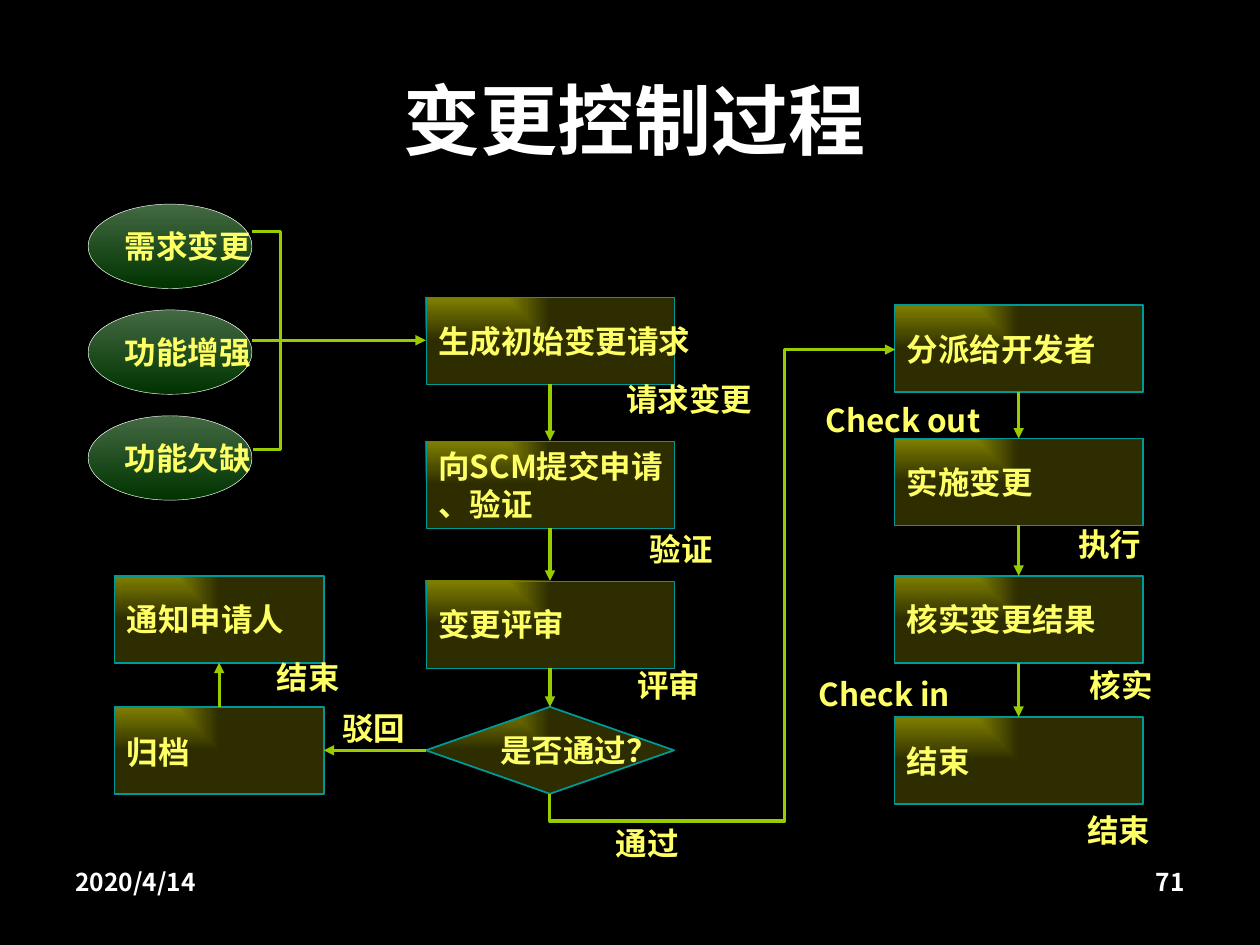
from dataclasses import dataclass

from lxml import etree
from pptx import Presentation
from pptx.dml.color import RGBColor
from pptx.enum.shapes import MSO_CONNECTOR, MSO_SHAPE
from pptx.enum.text import MSO_ANCHOR, MSO_AUTO_SIZE, PP_ALIGN
from pptx.oxml.ns import qn
from pptx.util import Inches, Pt

RECTANGLE, DIAMOND, ELLIPSE = MSO_SHAPE.RECTANGLE, MSO_SHAPE.DIAMOND, MSO_SHAPE.OVAL
LEFT, CENTER, RIGHT = PP_ALIGN.LEFT, PP_ALIGN.CENTER, PP_ALIGN.RIGHT
TOP, MIDDLE = MSO_ANCHOR.TOP, MSO_ANCHOR.MIDDLE


@dataclass(frozen=True)
class Theme:
    font: str = "Noto Sans CJK SC"
    background: str = "000000"
    heading: str = "FFFFFF"
    text: str = "FFFF66"
    box_gradient: tuple[str, str] = ("808000", "2D2D00")
    box_line: str = "009999"
    source_gradient: tuple[str, str] = ("436943", "003300")
    source_line: str = "FFFFFF"
    arrow: str = "99CC00"
    title_size: int = 44
    body_size: int = 18
    footer_size: int = 14
    thin: float = 0.25
    medium: float = 1
    thick: float = 1.75


@dataclass(frozen=True)
class Column:
    """A vertical lane of the flow: its left edge, width and row tops."""
    left: float
    width: float
    rows: tuple[float, ...]

    @property
    def center(self) -> float:
        return self.left + self.width / 2

    @property
    def right(self) -> float:
        return self.left + self.width


THEME = Theme()


@dataclass(frozen=True)
class Step:
    text: str
    column: Column
    row: int
    line_width: float = THEME.medium
    kind: int = RECTANGLE
    line_spacing: float | None = None


@dataclass(frozen=True)
class Label:
    text: str
    left: float
    top: float
    width: float = 0.7
    height: float = 0.4
    align: int = LEFT
    grow: bool = True


BOX_HEIGHT = 0.69
SOURCE_HEIGHT = 0.67
SOURCES = Column(0.7, 1.3, (1.62, 2.46, 3.3))
CLOSING = Column(0.91, 1.66, (4.57, 5.61))
REVIEW = Column(3.38, 1.97, (2.36, 3.5, 4.61, 5.61))
WORK = Column(7.1, 1.97, (2.42, 3.48, 4.57, 5.69))

SOURCE_NAMES = ("需求变更", "功能增强", "功能欠缺")
STEPS = (
    Step("生成初始变更请求", REVIEW, 0, THEME.thin),
    Step("向SCM提交申请\n、验证", REVIEW, 1, THEME.thin),
    Step("变更评审", REVIEW, 2, THEME.thin),
    Step("是否通过？", REVIEW, 3, kind=DIAMOND),
    Step("分派给开发者", WORK, 0),
    Step("实施变更", WORK, 1),
    Step("核实变更结果", WORK, 2),
    Step("结束", WORK, 3),
    Step("通知申请人", CLOSING, 0),
    Step("归档", CLOSING, 1, line_spacing=1.1),
)
LABELS = (
    Label("请求变更", 4.87, 2.97, 1.21),
    Label("验证", 5.06, 4.16),
    Label("评审", 4.96, 5.24),
    Label("驳回", 2.62, 5.58),
    Label("通过", 4.79, 6.49),
    Label("Check out", 6.38, 3.13, 1.5, 0.35, RIGHT, False),
    Label("执行", 8.46, 4.12),
    Label("Check in", 6.14, 5.31, 1.5, 0.35, RIGHT, False),
    Label("核实", 8.55, 5.24),
    Label("结束", 8.53, 6.39),
    Label("结束", 2.1, 5.17),
)


def write(shape, text: str, *, size: float = THEME.body_size, color: str = THEME.text,
          align: int = LEFT, anchor: int = TOP, wrap: bool = False,
          line_spacing: float | None = None) -> None:
    frame = shape.text_frame
    frame.text = text
    frame.word_wrap = wrap
    frame.vertical_anchor = anchor
    for paragraph in frame.paragraphs:
        paragraph.alignment = align
        if line_spacing:
            paragraph.line_spacing = line_spacing
        for run in paragraph.runs:
            font = run.font
            font.name, font.size, font.bold = THEME.font, Pt(size), True
            font.color.rgb = RGBColor.from_string(color)
            east_asian = etree.SubElement(run._r.get_or_add_rPr(), qn("a:ea"))
            east_asian.set("typeface", THEME.font)


def add_node(slide, kind: int, text: str, left: float, top: float, width: float, height: float,
             *, gradient: tuple[str, str], line: str, line_width: float,
             from_corner: bool = False, line_spacing: float | None = None) -> None:
    shape = slide.shapes.add_shape(kind, *map(Inches, (left, top, width, height)))
    shape.shadow.inherit = False
    shape.line.color.rgb = RGBColor.from_string(line)
    shape.line.width = Pt(line_width)
    shape.fill.gradient()
    shape.fill.gradient_angle = 270
    for stop, color, position in zip(shape.fill.gradient_stops, gradient, (0, 1)):
        stop.color.rgb = RGBColor.from_string(color)
        stop.position = position
    if from_corner:
        # Spread the gradient from the top left corner
        fill = shape._element.spPr.find(qn("a:gradFill"))
        fill.remove(fill.find(qn("a:lin")))
        spread = etree.SubElement(fill, qn("a:path"), {"path": "rect"})
        etree.SubElement(spread, qn("a:fillToRect"), {"r": "100000", "b": "100000"})
    write(shape, text, anchor=MIDDLE, line_spacing=line_spacing)


def add_line(slide, start: tuple[float, float], end: tuple[float, float], *,
             width: float = THEME.thick, arrow: bool = True, preset: str = "line",
             bends: tuple[float, ...] = (), rotation: int = 0) -> None:
    kind = MSO_CONNECTOR.ELBOW if bends else MSO_CONNECTOR.STRAIGHT
    connector = slide.shapes.add_connector(kind, *map(Inches, start + end))
    connector.line.color.rgb = RGBColor.from_string(THEME.arrow)
    connector.line.width = Pt(width)
    properties = connector._element.spPr
    etree.SubElement(properties, qn("a:effectLst"))
    if arrow:
        etree.SubElement(connector.line._get_or_add_ln(), qn("a:tailEnd"), {"type": "triangle"})
    if bends:
        geometry = properties.find(qn("a:prstGeom"))
        geometry.set("prst", preset)
        for guide in geometry.findall(qn("a:avLst")):
            geometry.remove(guide)
        guides = etree.SubElement(geometry, qn("a:avLst"))
        for number, bend in enumerate(bends, 1):
            etree.SubElement(guides, qn("a:gd"),
                             {"name": f"adj{number}", "fmla": f"val {round(bend * 100000)}"})
    if rotation:
        properties.find(qn("a:xfrm")).set("rot", str(rotation * 60000))


def add_label(slide, label: Label, **text_format) -> None:
    box = slide.shapes.add_textbox(
        *map(Inches, (label.left, label.top, label.width, label.height)))
    write(box, label.text, align=label.align, **text_format)
    if label.grow:
        box.text_frame.auto_size = MSO_AUTO_SIZE.SHAPE_TO_FIT_TEXT


def main() -> None:
    presentation = Presentation()
    presentation.slide_width, presentation.slide_height = Inches(10), Inches(7.5)
    slide = presentation.slides.add_slide(presentation.slide_layouts[5])
    slide.background.fill.solid()
    slide.background.fill.fore_color.rgb = RGBColor.from_string(THEME.background)

    # Title, date and slide number
    title = slide.shapes.title
    title.left, title.top, title.width, title.height = map(Inches, (0.83, 0.36, 8.42, 1.17))
    write(title, "变更控制过程", size=THEME.title_size, color=THEME.heading,
          align=CENTER, anchor=MIDDLE, wrap=True)
    for footer in (Label("2020/4/14", 0.5, 6.83, 2.33, 0.52, LEFT, False),
                   Label("71", 7.17, 6.83, 2.33, 0.52, RIGHT, False)):
        add_label(slide, footer, size=THEME.footer_size, color=THEME.heading, wrap=True)

    # Process steps
    for step in STEPS:
        column = step.column
        add_node(slide, step.kind, step.text, column.left, column.rows[step.row], column.width,
                 BOX_HEIGHT, gradient=THEME.box_gradient, line=THEME.box_line,
                 line_width=step.line_width, from_corner=True, line_spacing=step.line_spacing)

    # Arrows down the lanes, and up the closing lane
    for column in (REVIEW, WORK):
        for upper, lower in zip(column.rows, column.rows[1:]):
            add_line(slide, (column.center, upper + BOX_HEIGHT), (column.center, lower))
    add_line(slide, (CLOSING.center, CLOSING.rows[1]),
             (CLOSING.center, CLOSING.rows[0] + BOX_HEIGHT))

    # Links between lanes: rejected, passed, and change sources
    decision = REVIEW.rows[3] + BOX_HEIGHT / 2
    add_line(slide, (REVIEW.left, decision), (CLOSING.right, decision), width=1.5)
    add_line(slide, (7.5, 5.91), (3.97, 3.17), preset="bentConnector4",
             bends=(-0.06, 0.68), rotation=90)
    add_line(slide, (SOURCES.right, 2.7), (REVIEW.left, 2.7))
    add_line(slide, (SOURCES.right, 1.84), (SOURCES.right + 0.01, 3.57), arrow=False,
             preset="bentConnector3", bends=(23,))

    # Change sources and state labels
    for name, top in zip(SOURCE_NAMES, SOURCES.rows):
        add_node(slide, ELLIPSE, name, SOURCES.left, top, SOURCES.width, SOURCE_HEIGHT,
                 gradient=THEME.source_gradient, line=THEME.source_line, line_width=THEME.thin)
    for label in LABELS:
        add_label(slide, label)

    presentation.save("out.pptx")


if __name__ == "__main__":
    main()
